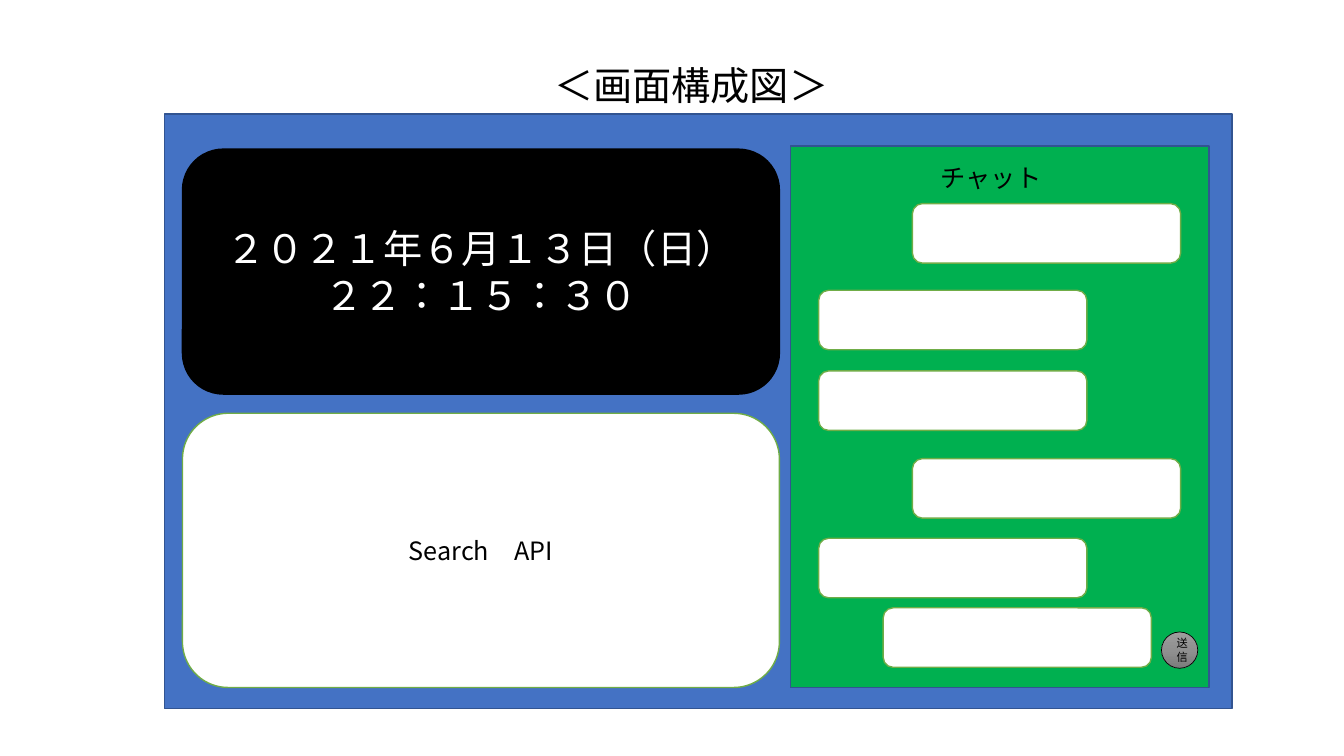
from copy import deepcopy
from dataclasses import dataclass

from lxml import etree
from pptx import Presentation
from pptx.dml.color import RGBColor
from pptx.enum import shapes, text
from pptx.oxml.ns import qn
from pptx.util import Inches, Pt


@dataclass(frozen=True)
class Theme:
    font: str = "Noto Sans CJK JP"
    black: str = "000000"
    white: str = "FFFFFF"
    blue: str = "4472C4"
    navy: str = "325491"
    green: str = "00B050"
    leaf: str = "70AD47"
    greys: tuple[str, ...] = ("9D9D9D", "909090", "7C7C7C")
    large: int = 28
    medium: int = 18
    small: int = 8


THEME = Theme()
RECT = shapes.MSO_SHAPE.RECTANGLE
ROUND = shapes.MSO_SHAPE.ROUNDED_RECTANGLE
OVAL = shapes.MSO_SHAPE.OVAL


@dataclass(frozen=True)
class Panel:
    left: float
    top: float
    width: float
    height: float
    fill: str
    line: str
    kind: int = RECT
    words: str = ""
    size: int = THEME.medium
    color: str = THEME.black
    weight: float = 1


def set_text(tf, words: str, size: int, color: str) -> None:
    """Write centred lines in the theme font, Latin and East Asian alike."""
    tf.text = words
    tf.word_wrap = True
    tf.vertical_anchor = text.MSO_ANCHOR.MIDDLE
    for p in tf.paragraphs:
        p.alignment = text.PP_ALIGN.CENTER
        for r in p.runs:
            r.font.size = Pt(size)
            r.font.name = THEME.font
            r.font.color.rgb = RGBColor.from_string(color)
            latin = r.font._element.find(qn("a:latin"))
            ea = etree.Element(qn("a:ea"), typeface=THEME.font)
            latin.addnext(ea)


def add_panel(slide, panel: Panel):
    sp = slide.shapes.add_shape(
        panel.kind, Inches(panel.left), Inches(panel.top),
        Inches(panel.width), Inches(panel.height))
    sp.shadow.inherit = False
    sp.fill.solid()
    sp.fill.fore_color.rgb = RGBColor.from_string(panel.fill)
    sp.line.color.rgb = RGBColor.from_string(panel.line)
    sp.line.width = Pt(panel.weight)
    if panel.words:
        set_text(sp.text_frame, panel.words, panel.size, panel.color)
    return sp


def shade(sp, colors: tuple[str, ...]) -> None:
    """Fill from top to bottom with three evenly spaced colours."""
    sp.fill.gradient()
    sp.fill.gradient_angle = 270
    stops = sp._element.spPr.find(qn("a:gradFill")).find(qn("a:gsLst"))
    stops.insert(1, deepcopy(stops[0]))
    for i, (stop, color) in enumerate(zip(sp.fill.gradient_stops, colors)):
        stop.position = i / (len(colors) - 1)
        stop.color.rgb = RGBColor.from_string(color)


def add_title(slide) -> None:
    title = slide.shapes.title
    title.left, title.top = Inches(4.34), Inches(0.56)
    title.width, title.height = Inches(5.03), Inches(0.57)
    set_text(title.text_frame, "＜画面構成図＞", THEME.large, THEME.black)
    title.text_frame.auto_size = text.MSO_AUTO_SIZE.NONE


def add_chat_heading(slide) -> None:
    box = slide.shapes.add_textbox(
        Inches(8.57), Inches(1.56), Inches(2.52), Inches(0.4))
    set_text(box.text_frame, "チャット", THEME.medium, THEME.black)


# Screen frame, clock, API area and chat area
PANELS = (
    Panel(1.63, 1.13, 10.59, 5.9, THEME.blue, THEME.navy),
    Panel(1.81, 1.48, 5.92, 2.43, THEME.black, THEME.black, ROUND,
          "２０２１年６月１３日（日）\n２２：１５：３０",
          THEME.large, THEME.white),
    Panel(1.81, 4.1, 5.92, 2.72, THEME.white, THEME.leaf, ROUND, "Search　API"),
    Panel(7.84, 1.45, 4.15, 5.37, THEME.green, THEME.navy),
)

# Left and top of each message, the last being the input field
RECEIVED, SENT, INPUT = 8.12, 9.05, 8.76
MESSAGES = (
    (SENT, 2.02), (RECEIVED, 2.88), (RECEIVED, 3.68),
    (SENT, 4.55), (RECEIVED, 5.34), (INPUT, 6.03),
)

SEND_BUTTON = Panel(11.52, 6.27, 0.36, 0.36, THEME.greys[1], THEME.black, OVAL,
                    "送信", THEME.small, weight=0.5)


def main() -> None:
    prs = Presentation()
    prs.slide_width, prs.slide_height = Inches(13.33), Inches(7.5)
    slide = prs.slides.add_slide(prs.slide_layouts[5])

    add_title(slide)
    for panel in PANELS:
        add_panel(slide, panel)

    # Chat contents
    for left, top in MESSAGES:
        add_panel(slide, Panel(left, top, 2.66, 0.59,
                               THEME.white, THEME.leaf, ROUND))
    shade(add_panel(slide, SEND_BUTTON), THEME.greys)
    add_chat_heading(slide)

    prs.save("out.pptx")


if __name__ == "__main__":
    main()
